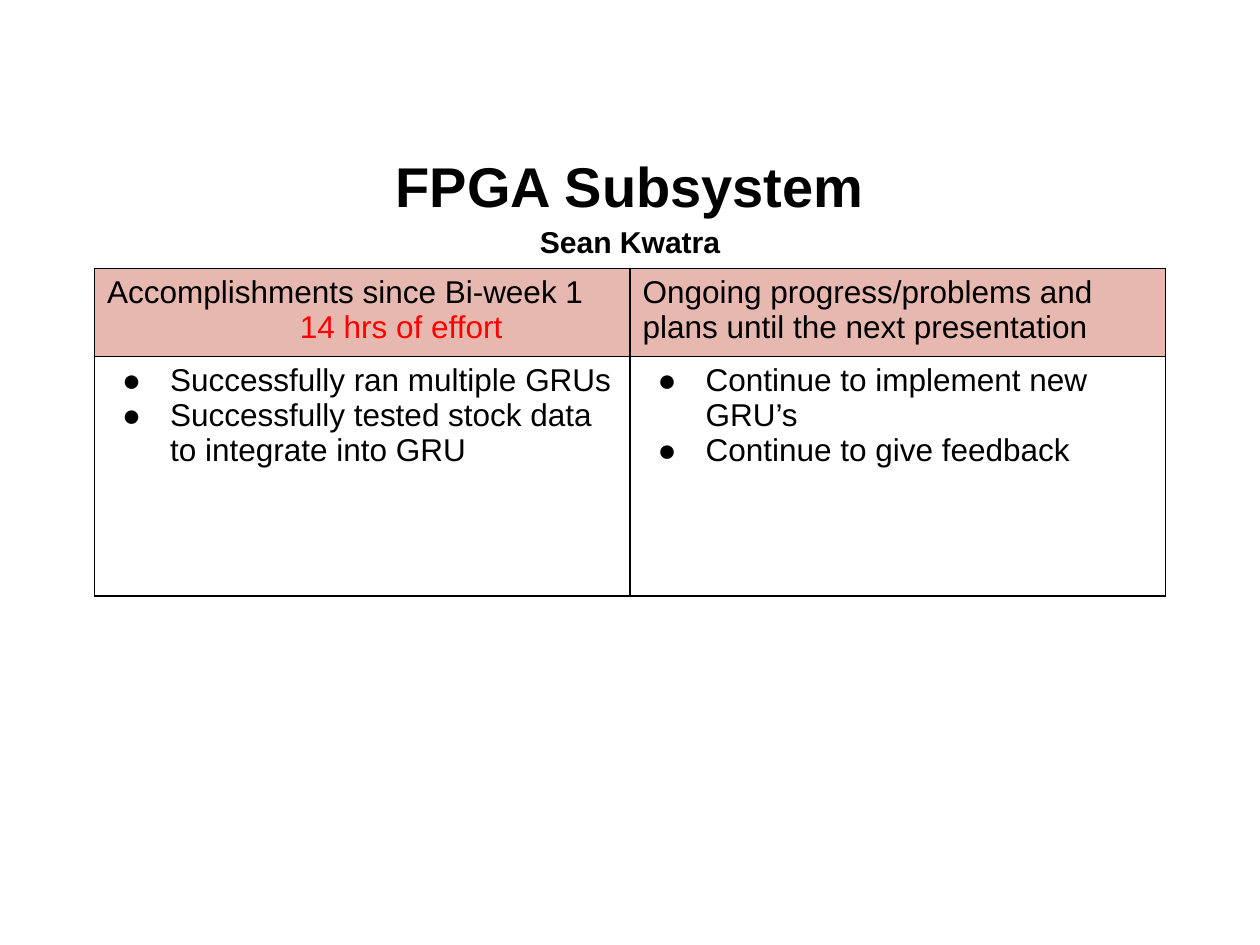
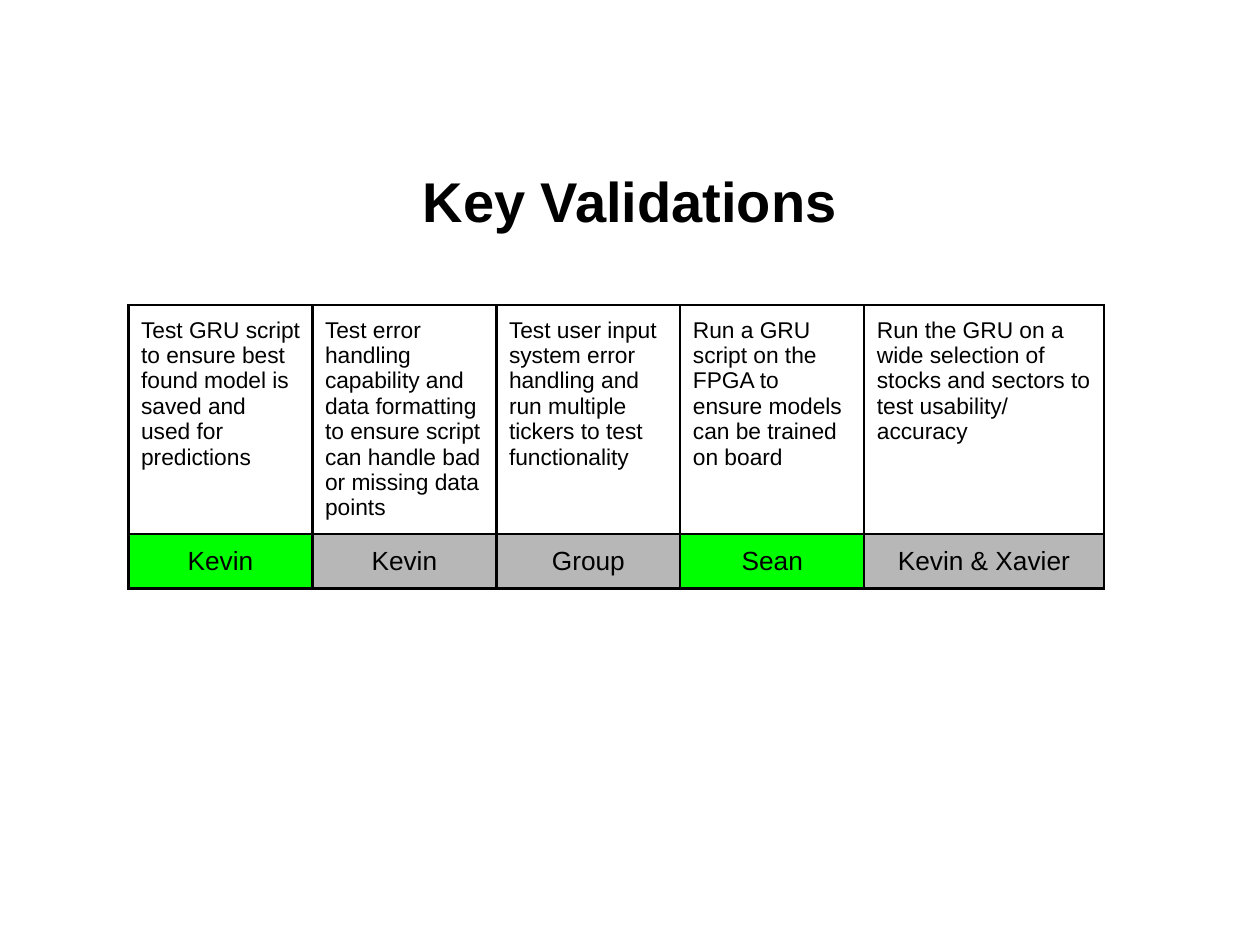
"""Build the FPGA progress and key validations slides."""
from lxml.etree import SubElement
from pptx import Presentation
from pptx.dml.color import RGBColor
from pptx.enum.text import MSO_ANCHOR, MSO_AUTO_SIZE, PP_ALIGN
from pptx.oxml.ns import qn
from pptx.util import Inches, Pt

BLACK = RGBColor(0x00, 0x00, 0x00)
WHITE = RGBColor(0xFF, 0xFF, 0xFF)
RED = RGBColor(0xFF, 0x00, 0x00)
PINK = RGBColor(0xE6, 0xB8, 0xAF)
GREEN = RGBColor(0x00, 0xFF, 0x00)
GRAY = RGBColor(0xB7, 0xB7, 0xB7)


class Deck:
    font = "Arial"

    def __init__(self):
        self.prs = Presentation()
        self.prs.slide_width, self.prs.slide_height = Inches(10), Inches(7.5)
        self.slide = None

    def style(self, p, size, color=BLACK, bold=False, align=PP_ALIGN.LEFT):
        p.alignment = align
        for r in p.runs:
            r.font.name, r.font.size, r.font.bold = self.font, Pt(size), bold
            r.font.color.rgb = color

    def add_slide(self, title, subtitle=None):
        self.slide = self.prs.slides.add_slide(self.prs.slide_layouts[5])
        sp = self.slide.shapes.title
        sp.left, sp.top = Inches(0.5), Inches(1.15)
        sp.width, sp.height = Inches(9), Inches(0.88)
        tf = sp.text_frame
        tf.auto_size, tf.vertical_anchor = MSO_AUTO_SIZE.NONE, MSO_ANCHOR.MIDDLE
        tf.text = title
        self.style(tf.paragraphs[0], 32, bold=True, align=PP_ALIGN.CENTER)
        if subtitle:
            p = tf.add_paragraph()
            p.text = subtitle
            self.style(p, 17.2, bold=True, align=PP_ALIGN.CENTER)
            for p in tf.paragraphs:
                p.line_spacing = 1.15

    def add_table(self, left, top, widths, heights, border):
        table = self.slide.shapes.add_table(
            len(heights), len(widths), Inches(left), Inches(top),
            Inches(sum(widths)), Inches(sum(heights))).table
        table.first_row = table.horz_banding = False
        for column, width in zip(table.columns, widths):
            column.width = Inches(width)
        for row, height in zip(table.rows, heights):
            row.height = Inches(height)
        for cell in table.iter_cells():
            self.add_borders(cell, border)
        return table

    def add_borders(self, cell, width):
        tc_pr = cell._tc.get_or_add_tcPr()
        for side in ("a:lnL", "a:lnR", "a:lnT", "a:lnB"):
            ln = SubElement(tc_pr, qn(side), w=str(Pt(width)))
            fill = SubElement(ln, qn("a:solidFill"))
            SubElement(fill, qn("a:srgbClr"), val=str(BLACK))

    def fill_cell(self, cell, lines, size, fill=WHITE, margin=0.05,
                  align=PP_ALIGN.LEFT):
        cell.fill.solid()
        cell.fill.fore_color.rgb = fill
        cell.margin_left = cell.margin_right = Inches(0.1)
        cell.margin_top = cell.margin_bottom = Inches(margin)
        cell.text = "\n".join(lines)
        for p in cell.text_frame.paragraphs:
            self.style(p, size, align=align)
        return cell.text_frame.paragraphs

    def indent(self, p, left, first=0):
        p_pr = p._p.get_or_add_pPr()
        p_pr.set("marL", str(Inches(left)))
        p_pr.set("indent", str(Inches(first)))
        return p_pr

    def add_bullet(self, p):
        p_pr = self.indent(p, 0.5, -0.38)
        color = SubElement(p_pr, qn("a:buClr"))
        SubElement(color, qn("a:srgbClr"), val=str(BLACK))
        SubElement(p_pr, qn("a:buFont"), typeface=self.font)
        SubElement(p_pr, qn("a:buChar"), char="●")


def add_progress(deck):
    deck.add_slide("FPGA Subsystem", "Sean Kwatra")
    table = deck.add_table(0.75, 2.13, [4.25] * 2, [0.7, 1.9], 1)
    columns = [
        (["Accomplishments since Bi-week 1", "14 hrs of effort"],
         ["Successfully ran multiple GRUs",
          "Successfully tested stock data to integrate into GRU"]),
        (["Ongoing progress/problems and plans until the next presentation"],
         ["Continue to implement new GRU’s", "Continue to give feedback"]),
    ]
    for col, (heading, items) in enumerate(columns):
        deck.fill_cell(table.cell(0, col), heading, 18, PINK)
        for p in deck.fill_cell(table.cell(1, col), items, 18):
            deck.add_bullet(p)
    effort = table.cell(0, 0).text_frame.paragraphs[1]
    deck.style(effort, 18, RED)
    deck.indent(effort, 1.53)


def add_validations(deck):
    deck.add_slide("Key Validations")
    table = deck.add_table(1.02, 2.42, [1.46] * 4 + [1.9], [1.82, 0.42], 1.5)
    validations = [
        (["Test GRU script to ensure best found model is saved and used for "
          "predictions"], "Kevin", GREEN),
        (["Test error handling capability and data formatting to ensure "
          "script can handle bad or missing data points"], "Kevin", GRAY),
        (["Test user input system error handling and run multiple tickers to "
          "test functionality"], "Group", GRAY),
        (["Run a GRU script on the FPGA to ensure models can be trained on "
          "board"], "Sean", GREEN),
        (["Run the GRU on a wide selection of stocks and sectors to test "
          "usability/", "accuracy"], "Kevin & Xavier", GRAY),
    ]
    for col, (task, owner, status) in enumerate(validations):
        deck.fill_cell(table.cell(0, col), task, 13, margin=0.1)
        deck.fill_cell(table.cell(1, col), [owner], 15, status, 0.1,
                       PP_ALIGN.CENTER)


def main():
    deck = Deck()
    add_progress(deck)
    add_validations(deck)
    deck.prs.save("out.pptx")


if __name__ == "__main__":
    main()
